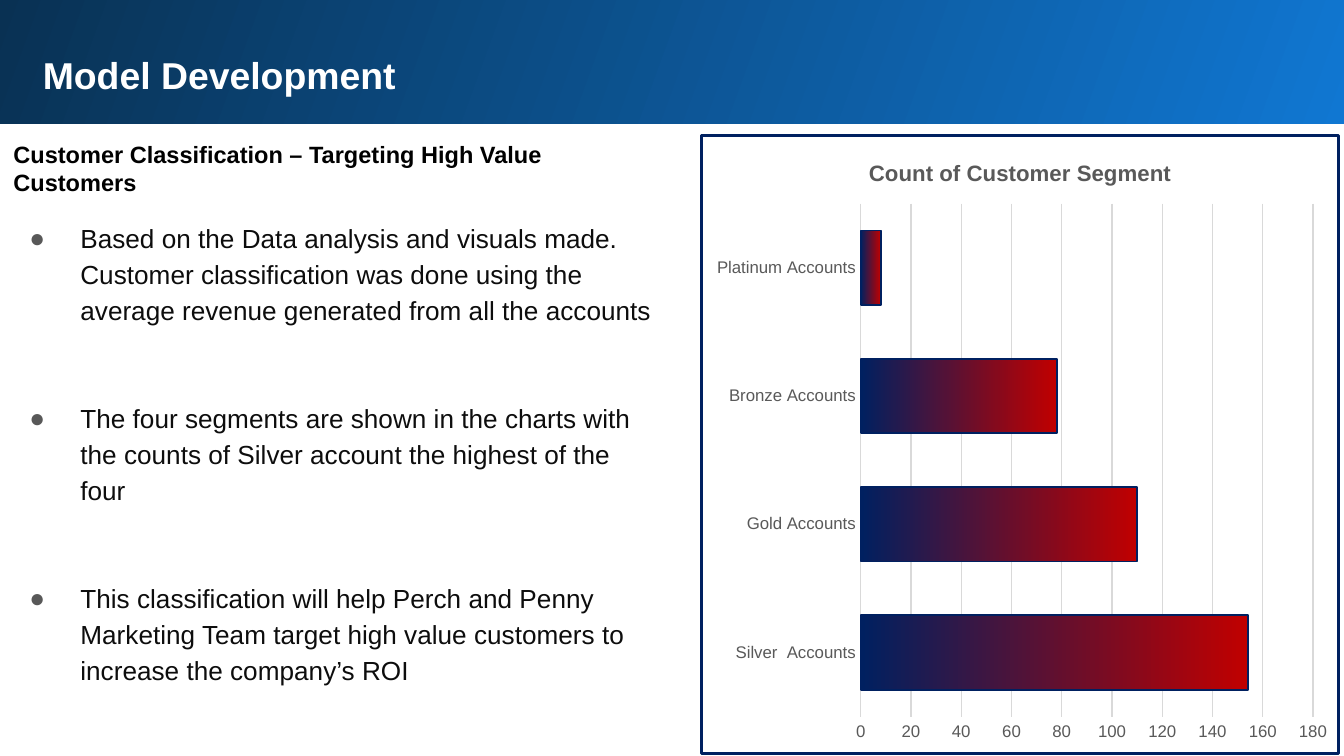
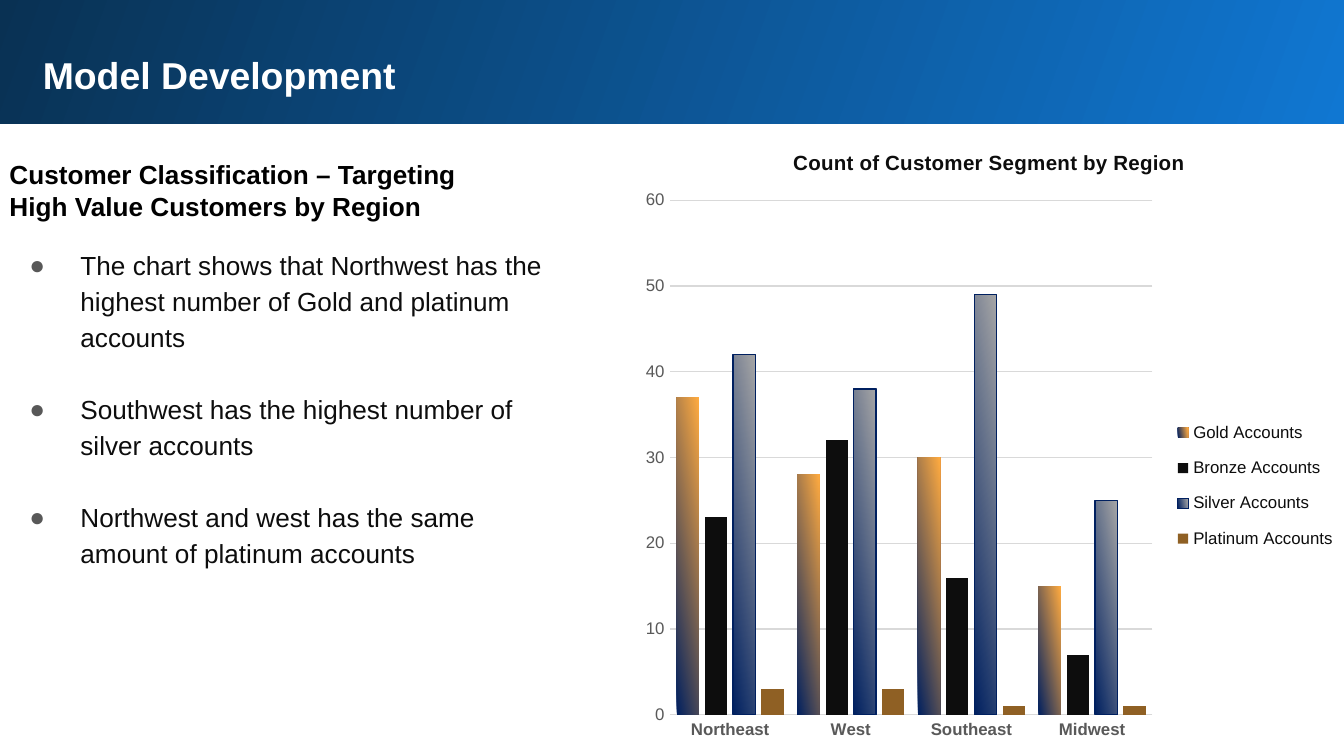
import pptx
import pptx.chart.data
import pptx.dml.color
import pptx.enum.chart
import pptx.enum.shapes
import pptx.enum.text
import pptx.oxml
import pptx.oxml.ns
import pptx.util
from pptx.util import Inches

FONT = "Arial"
COLORS = {
    "white": "FFFFFF",
    "black": "000000",
    "ink": "0D0D0D",
    "gray": "595959",
    "bullet": "585858",
    "grid": "D9D9D9",
    "band_light": "1077D2",
    "band_dark": "093153",
    "navy": "002060",
    "red": "C00000",
    "gold": "FFAB40",
    "silver": "A6A6A6",
    "platinum": "8F6024",
}


def rgb(name):
    return pptx.dml.color.RGBColor.from_string(COLORS[name])


def set_font(font, size, color, bold=False):
    font.name = FONT
    font.size = pptx.util.Pt(size)
    font.bold = bold
    font.color.rgb = rgb(color)


def set_line(line, color=None, width=0.75):
    if color is None:
        line.fill.background()
    else:
        line.color.rgb = rgb(color)
        line.width = pptx.util.Pt(width)


def set_gradient(fill, start, end, clockwise_angle):
    fill.gradient()
    fill.gradient_angle = (360 - clockwise_angle) % 360
    for stop, color in zip(fill.gradient_stops, (start, end)):
        stop.color.rgb = rgb(color)


def add_bullet(paragraph):
    properties = paragraph._p.get_or_add_pPr()
    properties.set("marL", str(Inches(0.5)))
    properties.set("indent", str(Inches(-0.38)))
    namespace = pptx.oxml.ns.nsdecls("a")
    for element in (
            f'<a:buClr {namespace}><a:srgbClr val="{COLORS["bullet"]}"/></a:buClr>',
            f'<a:buFont {namespace} typeface="{FONT}"/>',
            f'<a:buChar {namespace} char="●"/>'):
        properties.append(pptx.oxml.parse_xml(element))


def write_text(shape, paragraphs, size=14, color="black", bold=False,
               bullets=False, line_spacing=1.0, gap=0):
    frame = shape.text_frame
    frame.word_wrap = True
    frame.auto_size = pptx.enum.text.MSO_AUTO_SIZE.NONE
    frame.vertical_anchor = pptx.enum.text.MSO_ANCHOR.TOP
    frame.margin_left = frame.margin_right = Inches(0.1)
    frame.margin_top = frame.margin_bottom = Inches(0.1)
    for index, text in enumerate(paragraphs):
        paragraph = frame.add_paragraph() if index else frame.paragraphs[0]
        paragraph.alignment = pptx.enum.text.PP_ALIGN.LEFT
        paragraph.line_spacing = line_spacing
        paragraph.space_before = pptx.util.Pt(gap if index else 0)
        run = paragraph.add_run()
        run.text = text
        set_font(run.font, size, color, bold)
        if bullets:
            add_bullet(paragraph)


def add_text(slide, box, paragraphs, **text_format):
    shape = slide.shapes.add_textbox(*map(Inches, box))
    write_text(shape, paragraphs, **text_format)


def add_band(slide):
    band = slide.shapes.add_shape(
        pptx.enum.shapes.MSO_SHAPE.RECTANGLE,
        Inches(-0.03), Inches(0), Inches(10.05), Inches(0.92))
    band.shadow.inherit = False
    set_gradient(band.fill, "band_light", "band_dark", 200)
    set_line(band.line)
    add_text(slide, (0.22, 0.29, 9.37, 0.51), ["Model Development"],
             size=20, color="white", bold=True)


def add_model_slide(presentation, heading, heading_box, heading_size,
                    points, points_box, gap):
    slide = presentation.slides.add_slide(presentation.slide_layouts[5])
    add_band(slide)
    title = slide.shapes.title
    title.left, title.top, title.width, title.height = map(Inches, heading_box)
    write_text(title, [heading], size=heading_size, bold=True)
    add_text(slide, points_box, points, color="ink", bullets=True,
             line_spacing=1.15, gap=gap)
    return slide


def set_chart_frame(chart, border):
    if border:
        fill = f'<a:solidFill><a:srgbClr val="{COLORS["white"]}"/></a:solidFill>'
        line = (f'<a:ln w="{pptx.util.Pt(1.5)}"><a:solidFill>'
                f'<a:srgbClr val="{COLORS[border]}"/></a:solidFill></a:ln>')
    else:
        fill, line = "<a:noFill/>", "<a:ln><a:noFill/></a:ln>"
    namespaces = pptx.oxml.ns.nsdecls("c", "a")
    chart_element = chart._chartSpace.find(pptx.oxml.ns.qn("c:chart"))
    chart_element.addnext(pptx.oxml.parse_xml(
        f"<c:spPr {namespaces}>{fill}{line}</c:spPr>"))


def set_layout(element, area, position, target=""):
    for layout in element.findall(pptx.oxml.ns.qn("c:layout")):
        element.remove(layout)
    sizes = "".join(f'<c:{key} val="{value}"/>' for key, value in zip("xywh", area))
    element.insert(position, pptx.oxml.parse_xml(
        f'<c:layout {pptx.oxml.ns.nsdecls("c")}><c:manualLayout>{target}'
        '<c:xMode val="edge"/><c:yMode val="edge"/>'
        f"{sizes}</c:manualLayout></c:layout>"))


def format_axes(chart, maximum, step, bold_categories):
    for axis in (chart.category_axis, chart.value_axis):
        axis.major_tick_mark = pptx.enum.chart.XL_TICK_MARK.NONE
        axis.minor_tick_mark = pptx.enum.chart.XL_TICK_MARK.NONE
        set_font(axis.tick_labels.font, 9, "gray")
    chart.category_axis.tick_labels.font.bold = bold_categories
    set_line(chart.category_axis.format.line, "grid")
    values = chart.value_axis
    values.minimum_scale, values.maximum_scale, values.major_unit = 0, maximum, step
    values.has_major_gridlines = True
    set_line(values.major_gridlines.format.line, "grid")
    set_line(values.format.line)


def add_segment_chart(slide, kind, box, title, title_size, title_color,
                      categories, series_list, gap, plot_area, maximum, step,
                      overlap=0, border=None, bold_categories=False,
                      legend_area=None):
    data = pptx.chart.data.CategoryChartData()
    data.categories = categories
    for name, values, *_ in series_list:
        data.add_series(name, values)
    chart = slide.shapes.add_chart(kind, *map(Inches, box), data).chart
    set_font(chart.font, 10, "black")
    set_chart_frame(chart, border)
    set_layout(chart._chartSpace.chart.plotArea, plot_area, 0,
               '<c:layoutTarget val="inner"/>')
    chart.has_title = True
    chart.chart_title.include_in_layout = False
    run = chart.chart_title.text_frame.paragraphs[0].add_run()
    run.text = title
    set_font(run.font, title_size, title_color, True)
    format_axes(chart, maximum, step, bold_categories)
    plot = chart.plots[0]
    plot.vary_by_categories = False
    plot.gap_width = gap
    plot.overlap = overlap
    for series, (_, _, fill, outline, width) in zip(plot.series, series_list):
        if isinstance(fill, tuple):
            set_gradient(series.format.fill, *fill)
        else:
            series.format.fill.solid()
            series.format.fill.fore_color.rgb = rgb(fill)
        series.invert_if_negative = False
        set_line(series.format.line, outline, width)
    chart.has_legend = legend_area is not None
    if chart.has_legend:
        chart.legend.position = pptx.enum.chart.XL_LEGEND_POSITION.RIGHT
        chart.legend.include_in_layout = False
        set_font(chart.legend.font, 9, "ink")
        set_layout(chart.legend._element, legend_area, 1)


def add_classification_slide(presentation):
    slide = add_model_slide(
        presentation,
        "Customer Classification – Targeting High Value Customers",
        (0, 0.94, 5.03, 0.49), 12.6,
        ["Based on the Data analysis and visuals made. Customer classification "
         "was done using the average revenue generated from all the accounts",
         "The four segments are shown in the charts with the counts of Silver "
         "account the highest of the four",
         "This classification will help Perch and Penny Marketing Team target "
         "high value customers to increase the company’s ROI"],
        (0, 1.52, 5, 4.07), 38.6)
    title = "Count of Customer Segment"
    add_segment_chart(
        slide, pptx.enum.chart.XL_CHART_TYPE.BAR_CLUSTERED,
        (5.21, 1, 4.76, 4.62), title, 12, "gray",
        ["Silver  Accounts", "Gold Accounts", "Bronze Accounts", "Platinum Accounts"],
        [(title, (154, 110, 78, 8), ("red", "navy", 180), "navy", 1)],
        gap=72, plot_area=(0.25, 0.11, 0.71, 0.83), maximum=180, step=20,
        border="navy")


def add_region_slide(presentation):
    slide = add_model_slide(
        presentation,
        "Customer Classification – Targeting High Value Customers by Region",
        (-0.03, 1.08, 3.99, 0.56), 14,
        ["The chart shows that Northwest has the highest number of Gold and "
         "platinum accounts",
         "Southwest has the highest number of silver accounts",
         "Northwest and west has the same amount of platinum accounts"],
        (0, 1.72, 4.31, 3.88), 19.3)
    add_segment_chart(
        slide, pptx.enum.chart.XL_CHART_TYPE.COLUMN_CLUSTERED,
        (4.72, 0.93, 5.28, 4.67), "Count of Customer Segment by Region", 11, "ink",
        ["Northeast", "West", "Southeast", "Midwest"],
        [("Gold Accounts", (37, 28, 30, 15), ("navy", "gold", 350), None, 0),
         ("Bronze Accounts", (23, 32, 16, 7), "ink", None, 0),
         ("Silver Accounts", (42, 38, 49, 25), ("navy", "silver", 350), "navy", 0.75),
         ("Platinum Accounts", (3, 3, 1, 1), "platinum", None, 0)],
        gap=60, overlap=-27, plot_area=(0.05, 0.12, 0.68, 0.82), maximum=60,
        step=10, bold_categories=True, legend_area=(0.75, 0.45, 0.25, 0.25))


def main():
    presentation = pptx.Presentation()
    presentation.slide_width = Inches(10)
    presentation.slide_height = presentation.slide_width * 9 // 16
    add_classification_slide(presentation)
    add_region_slide(presentation)
    presentation.save("out.pptx")


if __name__ == "__main__":
    main()
